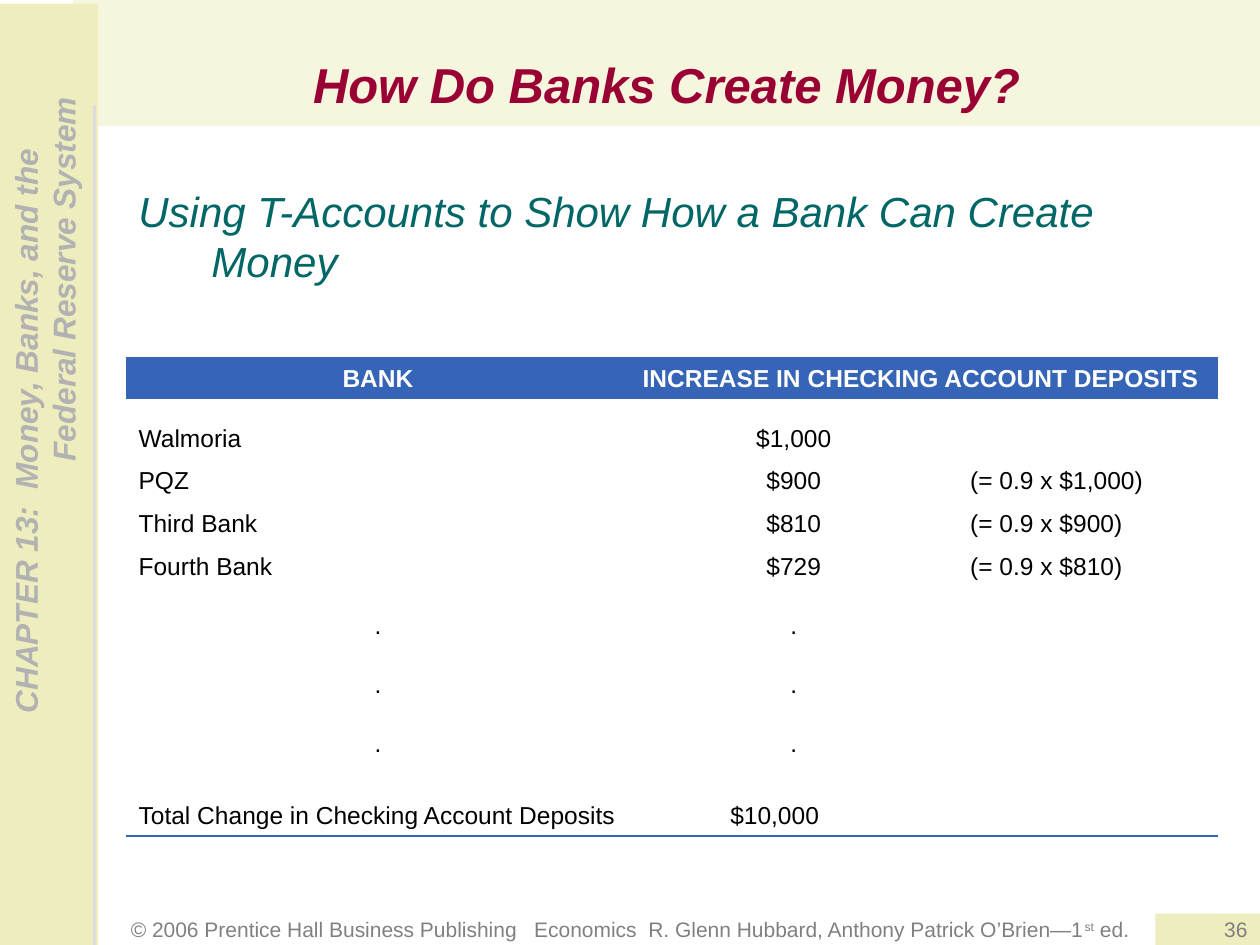
import pptx
import pptx.util
import pptx.dml.color
import pptx.enum.shapes
import pptx.enum.text
import pptx.oxml
import pptx.oxml.ns
from lxml import etree

Inches, Pt = pptx.util.Inches, pptx.util.Pt
RGBColor = pptx.dml.color.RGBColor
ALIGN, ANCHOR = pptx.enum.text.PP_ALIGN, pptx.enum.text.MSO_ANCHOR
qn = pptx.oxml.ns.qn

CREAM = RGBColor(0xEE, 0xED, 0xBD)
SILVER = RGBColor(0xB2, 0xB2, 0xB2)
RULE_GREY = RGBColor(0xDD, 0xDD, 0xDD)
GREY = RGBColor(0x80, 0x80, 0x80)
CRIMSON = RGBColor(0x99, 0x00, 0x33)
TEAL = RGBColor(0x00, 0x66, 0x66)
BLUE = RGBColor(0x36, 0x64, 0xB6)
WHITE = RGBColor(0xFF, 0xFF, 0xFF)
BLACK = RGBColor(0, 0, 0)


def format_runs(paragraph, size, color, align=ALIGN.LEFT, bold=False, italic=False):
    paragraph.alignment = align
    for run in paragraph.runs:
        run.font.name = "Arial"
        run.font.size = Pt(size)
        run.font.color.rgb = color
        run.font.bold = bold
        run.font.italic = italic


def add_panel(left, top, width, height):
    panel = slide.shapes.add_shape(
        pptx.enum.shapes.MSO_SHAPE.RECTANGLE,
        Inches(left), Inches(top), Inches(width), Inches(height))
    panel.shadow.inherit = False
    panel.fill.solid()
    panel.fill.fore_color.rgb = CREAM
    panel.line.fill.background()
    return panel


presentation = pptx.Presentation()
presentation.slide_width, presentation.slide_height = Inches(10), Inches(7.5)
slide = presentation.slides.add_slide(presentation.slide_layouts[5])

# Copyright footer
footer = slide.shapes.add_textbox(Inches(0.25), Inches(7.25), Inches(9.5), Inches(0.25))
footer.text_frame.word_wrap = True
footer.text_frame.vertical_anchor = ANCHOR.MIDDLE
paragraph = footer.text_frame.paragraphs[0]
for text in ("© 2006 Prentice Hall Business Publishing   Economics  "
             "R. Glenn Hubbard, Anthony Patrick O’Brien—1", "st", " ed."):
    paragraph.add_run().text = text
format_runs(paragraph, 12, GREY, ALIGN.CENTER)
paragraph.runs[1].font._element.set("baseline", "30000")

# Chapter sidebar, read from bottom to top
sidebar = add_panel(0, 0.03, 0.78, 7.47)
frame = sidebar.text_frame
frame.margin_left = frame.margin_right = Inches(0.05)
frame.margin_top = frame.margin_bottom = Inches(0.05)
frame.vertical_anchor = ANCHOR.TOP
frame._txBody.bodyPr.set("vert", "vert270")
paragraph = frame.paragraphs[0]
paragraph.text = "CHAPTER 13:  Money, Banks, and the\vFederal Reserve System"
format_runs(paragraph, 18, SILVER, bold=True, italic=True)
properties = paragraph._p.get_or_add_pPr()
properties.set("marL", str(Inches(3.74)))
properties.set("indent", str(Inches(-2)))

# Sidebar edge
edge = slide.shapes.add_connector(
    pptx.enum.shapes.MSO_CONNECTOR.STRAIGHT,
    Inches(0.75), Inches(0.83), Inches(0.75), Inches(7.5))
edge.line.color.rgb = RULE_GREY
edge.line.width = Pt(2)
etree.SubElement(edge._element.spPr, qn("a:effectLst"))

# Title band, half transparent
title = slide.shapes.title
title.left, title.top = Inches(0.58), 0
title.width, title.height = Inches(9.42), Inches(1)
title.fill.solid()
title.fill.fore_color.rgb = CREAM
fill_color = title._element.spPr.find(qn("a:solidFill"))[0]
etree.SubElement(fill_color, qn("a:alpha")).set("val", "50000")
frame = title.text_frame
frame.text = "How Do Banks Create Money?"
frame.auto_size = pptx.enum.text.MSO_AUTO_SIZE.NONE
frame.vertical_anchor = ANCHOR.BOTTOM
frame.margin_bottom = Inches(0.1)
format_runs(frame.paragraphs[0], 28, CRIMSON, ALIGN.CENTER, bold=True, italic=True)

# Subtitle with hanging indent
subtitle = slide.shapes.add_textbox(Inches(1), Inches(1.42), Inches(8.58), Inches(1))
subtitle.text_frame.word_wrap = True
paragraph = subtitle.text_frame.paragraphs[0]
paragraph.text = "Using T-Accounts to Show How a Bank Can Create Money"
format_runs(paragraph, 24, TEAL, italic=True)
properties = paragraph._p.get_or_add_pPr()
properties.set("marL", str(Inches(0.58)))
properties.set("indent", str(Inches(-0.58)))

# Deposits table
ROWS = [
    ("BANK", "INCREASE IN CHECKING ACCOUNT DEPOSITS", ""),
    ("Walmoria", "$1,000", ""),
    ("PQZ", "$900", "(= 0.9 x $1,000)"),
    ("Third Bank", "$810", "(= 0.9 x $900)"),
    ("Fourth Bank", "$729", "(= 0.9 x $810)"),
    *[(".", ".", "")] * 3,
    ("Total Change in Checking Account Deposits", "$10,000", ""),
]
COLUMN_WIDTHS = [4, 2.6, 2.07]
ROW_HEIGHTS = [0.34, 0.47] + [0.34] * 3 + [0.47] * 3 + [0.57]
LAST = len(ROWS) - 1
NO_STYLE = "{2D5ABB26-0587-4C30-8999-92F81FD0307C}"

table = slide.shapes.add_table(
    len(ROWS), len(COLUMN_WIDTHS), Inches(1), Inches(2.83),
    Inches(sum(COLUMN_WIDTHS)), Inches(sum(ROW_HEIGHTS))).table
table.horz_banding = False
table._tbl.tblPr.find(qn("a:tableStyleId")).text = NO_STYLE
for column, width in zip(table.columns, COLUMN_WIDTHS):
    column.width = Inches(width)
for row, height in zip(table.rows, ROW_HEIGHTS):
    row.height = Inches(height)
table.cell(0, 1).merge(table.cell(0, 2))

for r, texts in enumerate(ROWS):
    for c, text in enumerate(texts):
        cell = table.cell(r, c)
        cell.vertical_anchor = ANCHOR.BOTTOM
        paragraph = cell.text_frame.paragraphs[0]
        if text:
            paragraph.text = text
        centred = text in ("BANK", ".") or (c == 1 and r > 0)
        format_runs(paragraph, 14, BLACK if r else WHITE,
                    ALIGN.CENTER if centred else ALIGN.LEFT, bold=r == 0)
        if r == 0:
            cell.fill.solid()
            cell.fill.fore_color.rgb = BLUE
        else:
            cell.fill.background()
        if r == LAST:
            border = pptx.oxml.parse_xml(
                f'<a:lnB {pptx.oxml.ns.nsdecls("a")} w="{Pt(1.08)}"><a:solidFill>'
                f'<a:srgbClr val="{BLUE}"/></a:solidFill></a:lnB>')
            cell._tc.get_or_add_tcPr().insert(0, border)

total = table.cell(LAST, 1)
total.margin_right = Inches(1.1)
total.text_frame.paragraphs[0].alignment = ALIGN.RIGHT

# Page number
page_number = add_panel(9.17, 7.25, 0.83, 0.25)
page_number.text_frame.vertical_anchor = ANCHOR.MIDDLE
paragraph = page_number.text_frame.paragraphs[0]
paragraph.text = "36"
format_runs(paragraph, 12, GREY, ALIGN.RIGHT)

presentation.save("out.pptx")
